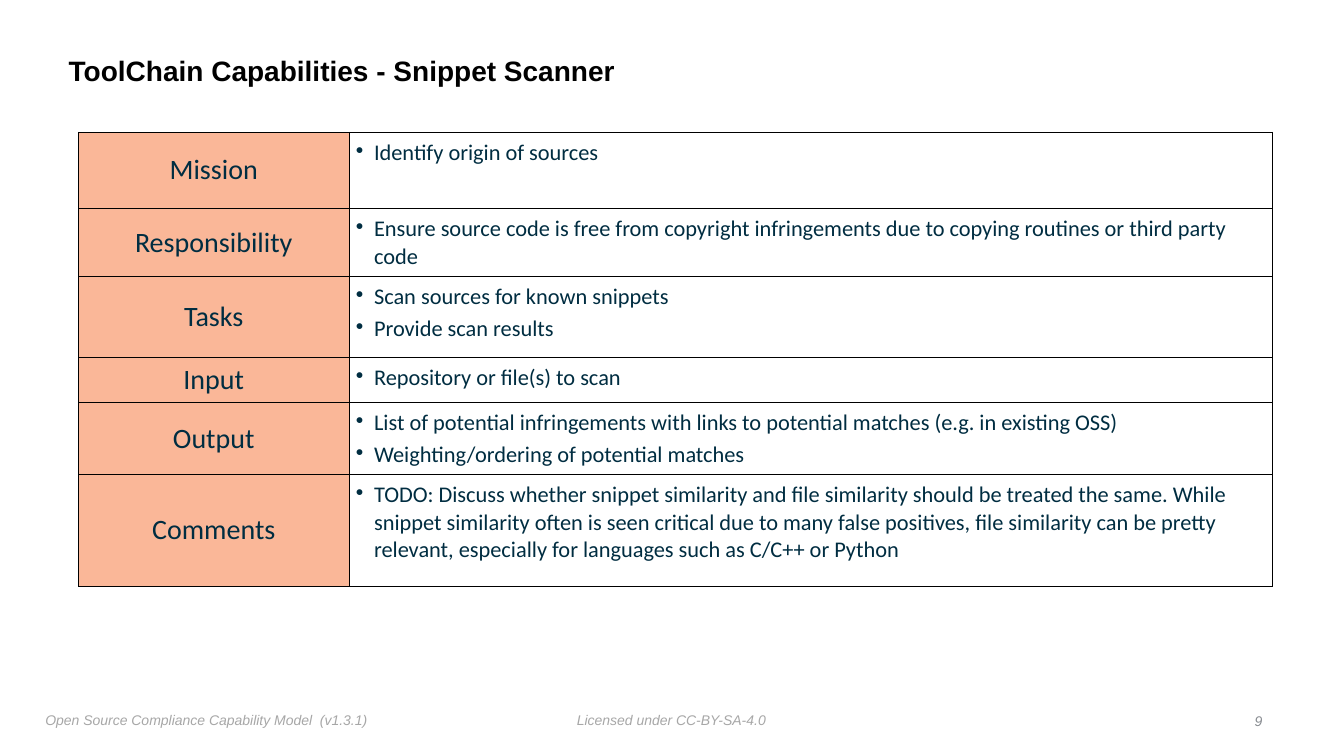
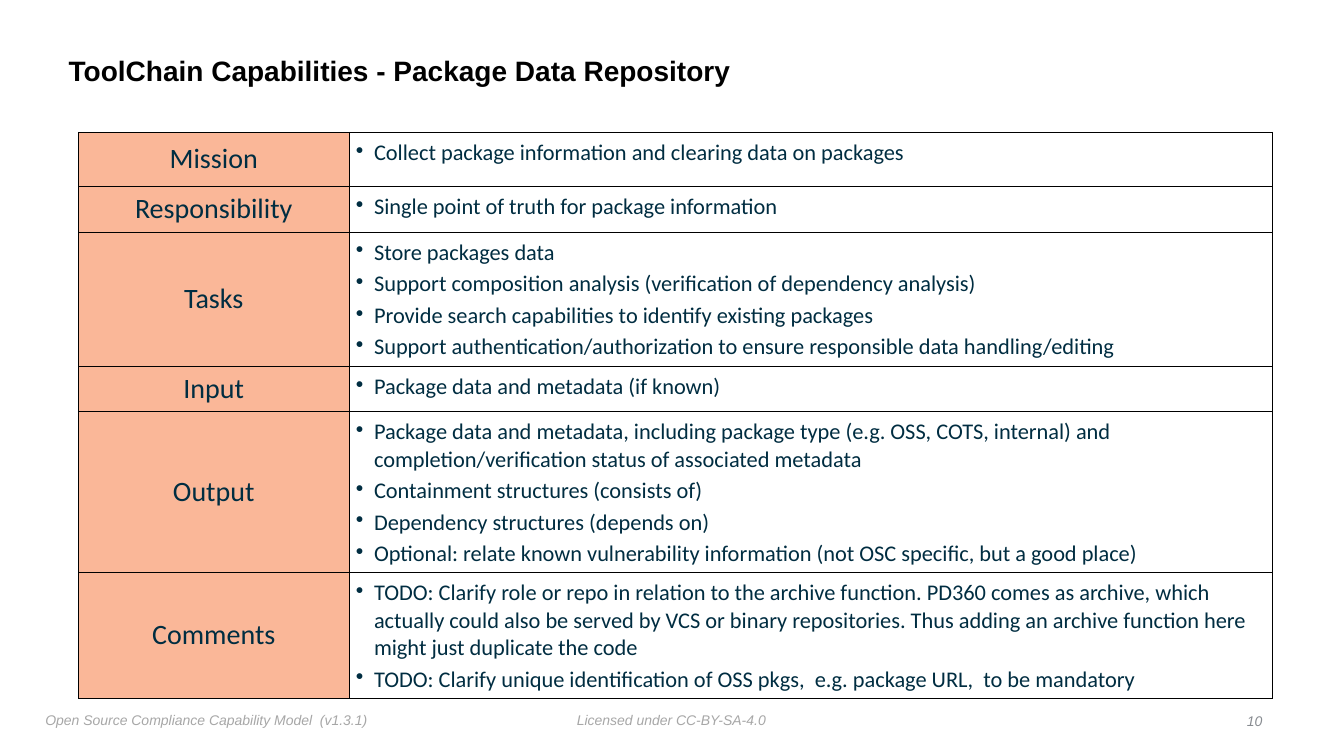
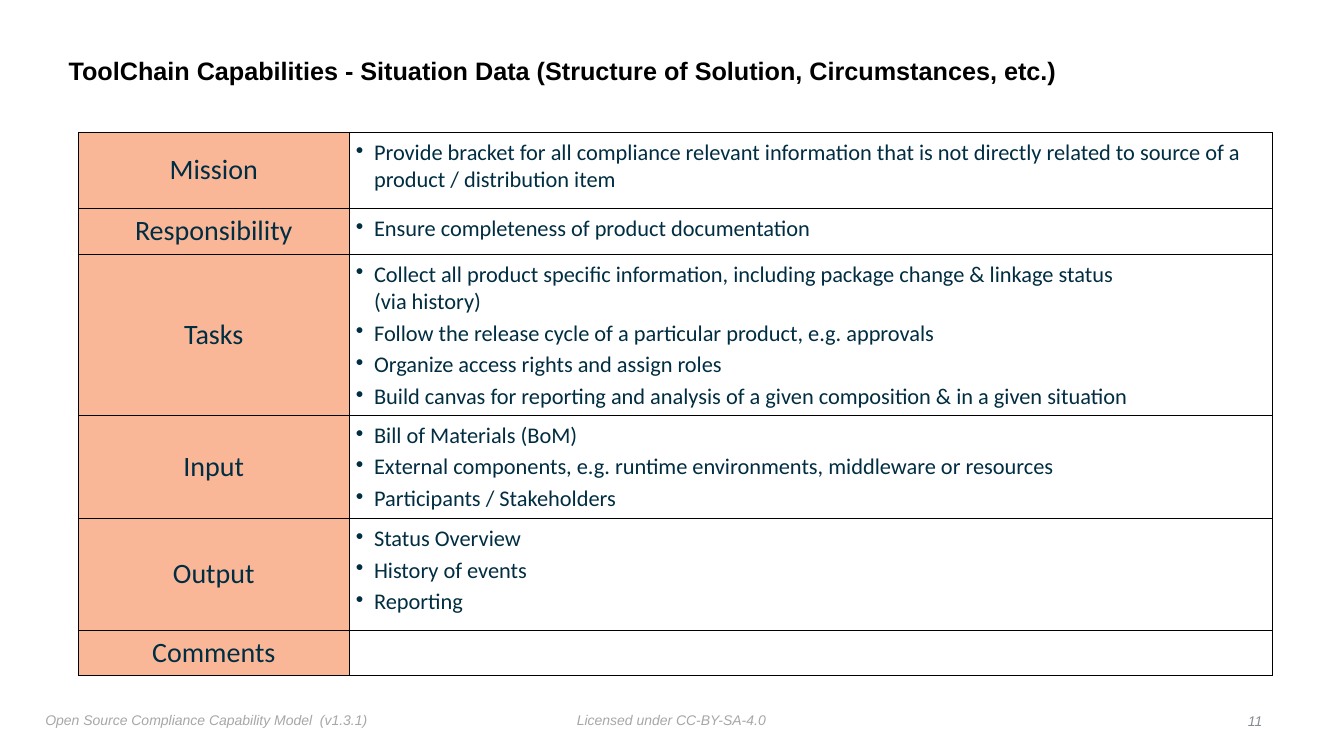
from copy import deepcopy
from dataclasses import dataclass

from lxml.etree import SubElement
from pptx import Presentation
from pptx.dml.color import RGBColor
from pptx.enum.text import MSO_ANCHOR as Anchor, MSO_AUTO_SIZE as AutoSize, PP_ALIGN as Align
from pptx.oxml import parse_xml
from pptx.oxml.ns import nsdecls, qn
from pptx.util import Emu, Inches, Pt

# Shared look
INK = RGBColor(0x00, 0x2D, 0x41)
BLACK = RGBColor(0x00, 0x00, 0x00)
PEACH = RGBColor(0xFA, 0xB7, 0x98)
FOOTER_GREY = RGBColor(0xA7, 0xA7, 0xA7)
NUMBER_GREY = RGBColor(0x88, 0x8C, 0x91)
HEADING_FONT, TABLE_FONT = "Arial", "Calibri"
WIDTH, HEIGHT = Inches(13.33), Inches(7.5)
BOX_INSET, CELL_INSET = Inches(0.05), Inches(0.07)
BULLET_INDENT = Inches(0.18)
FIRST_PAGE = 9
LABELS = ("Mission", "Responsibility", "Tasks", "Input", "Output", "Comments")


@dataclass(frozen=True)
class Area:
    """A rectangle in percent of the slide's width and height."""
    left: float
    top: float
    width: float
    height: float

    def lengths(self) -> tuple[Emu, Emu, Emu, Emu]:
        return across(self.left), down(self.top), across(self.width), down(self.height)


@dataclass(frozen=True)
class Footer:
    text: str
    area: Area
    color: RGBColor = FOOTER_GREY
    align: Align = Align.LEFT
    anchor: Anchor = Anchor.TOP


@dataclass(frozen=True)
class Row:
    """Least height in percent of the slide's height, and the bullet texts."""
    height: float
    bullets: tuple[str, ...] = ()


@dataclass(frozen=True)
class Capability:
    name: str
    rows: tuple[Row, ...]
    title_size: int = 20


TITLE_AREA = Area(4.73, 5.2, 80.65, 8.67)
NUMBER_AREA = Area(92.35, 93.73, 1.95, 3.33)
TABLE_LEFT, TABLE_TOP = 5.85, 17.47
COLUMNS = (20.11, 68.72)
FOOTERS = (
    Footer("Licensed under CC-BY-SA-4.0", Area(42.54, 93.47, 14.93, 3.33)),
    Footer("Open Source Compliance Capability Model  (v1.3.1)", Area(3, 93.47, 25.21, 3.6)),
)

CAPABILITIES = (
    Capability("Snippet Scanner", (
        Row(10.13, ("Identify origin of sources",)),
        Row(6, ("Ensure source code is free from copyright infringements due to copying "
                "routines or third party code",)),
        Row(10.67, ("Scan sources for known snippets", "Provide scan results")),
        Row(6, ("Repository or file(s) to scan",)),
        Row(8, ("List of potential infringements with links to potential matches "
                "(e.g. in existing OSS)",
                "Weighting/ordering of potential matches")),
        Row(14.8, ("TODO: Discuss whether snippet similarity and file similarity should be "
                   "treated the same. While snippet similarity often is seen critical due to "
                   "many false positives, file similarity can be pretty relevant, especially "
                   "for languages such as C/C++ or Python",)),
    )),
    Capability("Package Data Repository", (
        Row(7.2, ("Collect package information and clearing data on packages",)),
        Row(6, ("Single point of truth for package information",)),
        Row(6, ("Store packages data",
                "Support composition analysis (verification of dependency analysis)",
                "Provide search capabilities to identify existing packages",
                "Support authentication/authorization to ensure responsible data "
                "handling/editing")),
        Row(6, ("Package data and metadata (if known)",)),
        Row(14.8, ("Package data and metadata, including package type (e.g. OSS, COTS, "
                   "internal) and completion/verification status of associated metadata",
                   "Containment structures (consists of)",
                   "Dependency structures (depends on)",
                   "Optional: relate known vulnerability information (not OSC specific, "
                   "but a good place)")),
        Row(14.8, ("TODO: Clarify role or repo in relation to the archive function. PD360 "
                   "comes as archive, which actually could also be served by VCS or binary "
                   "repositories. Thus adding an archive function here might just duplicate "
                   "the code",
                   "TODO: Clarify unique identification of OSS pkgs,  e.g. package URL,  "
                   "to be mandatory")),
    )),
    Capability("Situation Data (Structure of Solution, Circumstances, etc.)", (
        Row(10.13, ("Provide bracket for all compliance relevant information that is not "
                    "directly related to source of a product / distribution item",)),
        Row(6, ("Ensure completeness of product documentation",)),
        Row(6, ("Collect all product specific information, including package change & "
                "linkage status\n(via history)",
                "Follow the release cycle of a particular product, e.g. approvals",
                "Organize access rights and assign roles",
                "Build canvas for reporting and analysis of a given composition & in a "
                "given situation")),
        Row(6, ("Bill of Materials (BoM)",
                "External components, e.g. runtime environments, middleware or resources",
                "Participants / Stakeholders")),
        Row(14.8, ("Status Overview", "History of events", "Reporting")),
        Row(6),
    ), title_size=18),
)


def across(percent: float) -> Emu:
    return Emu(round(WIDTH * percent / 100))


def down(percent: float) -> Emu:
    return Emu(round(HEIGHT * percent / 100))


def write(para, text: str, *, size: int, font: str = TABLE_FONT, color: RGBColor = INK,
          bold: bool = False, italic: bool = False, align: Align = Align.LEFT,
          bullet: bool = False) -> None:
    """Fill a paragraph with text in one format."""
    para.text = text
    para.alignment = align
    for span in para.runs:
        span.font.size, span.font.name = Pt(size), font
        span.font.bold, span.font.italic = bold, italic
        span.font.color.rgb = color
    # Line breaks take the format of the text around them
    for line_break in para._p.findall(qn("a:br")):
        line_break.insert(0, deepcopy(para.runs[0]._r.rPr))
    if bullet:
        para.space_before = Pt(3)
        properties = para._p.get_or_add_pPr()
        properties.set("marL", str(BULLET_INDENT))
        properties.set("indent", str(-BULLET_INDENT))
        SubElement(properties, qn("a:buChar"), char="•")


def set_insets(holder, inset: int) -> None:
    holder.margin_left = holder.margin_right = inset
    holder.margin_top = holder.margin_bottom = inset


def add_title(page, text: str, size: int) -> None:
    title = page.shapes.title
    title.left, title.top, title.width, title.height = TITLE_AREA.lengths()
    frame = title.text_frame
    set_insets(frame, BOX_INSET)
    frame.word_wrap, frame.auto_size = True, AutoSize.NONE
    frame.vertical_anchor = Anchor.MIDDLE
    para = frame.paragraphs[0]
    para.line_spacing = 0.9
    write(para, text, size=size, font=HEADING_FONT, color=BLACK, bold=True)


def add_footer(page, footer: Footer) -> None:
    frame = page.shapes.add_textbox(*footer.area.lengths()).text_frame
    set_insets(frame, BOX_INSET)
    frame.word_wrap, frame.auto_size = False, AutoSize.SHAPE_TO_FIT_TEXT
    frame.vertical_anchor = footer.anchor
    write(frame.paragraphs[0], footer.text, size=10, font=HEADING_FONT,
          color=footer.color, italic=True, align=footer.align)


def add_borders(cell) -> None:
    properties = cell._tc.get_or_add_tcPr()
    for index, side in enumerate("LRTB"):
        properties.insert(index, parse_xml(
            f'<a:ln{side} {nsdecls("a")} w="{Pt(0.5)}"><a:solidFill>'
            f'<a:srgbClr val="{BLACK}"/></a:solidFill></a:ln{side}>'))


def add_capability_table(page, rows: tuple[Row, ...]) -> None:
    area = Area(TABLE_LEFT, TABLE_TOP, sum(COLUMNS), sum(row.height for row in rows))
    table = page.shapes.add_table(len(rows), len(COLUMNS), *area.lengths()).table
    table.first_row = table.horz_banding = False
    for column, width in zip(table.columns, COLUMNS):
        column.width = across(width)
    for index, (label, row) in enumerate(zip(LABELS, rows)):
        table.rows[index].height = down(row.height)
        label_cell, detail_cell = table.rows[index].cells

        # Label column
        set_insets(label_cell, 0)
        label_cell.vertical_anchor = Anchor.MIDDLE
        label_cell.fill.solid()
        label_cell.fill.fore_color.rgb = PEACH
        write(label_cell.text_frame.paragraphs[0], label, size=20, align=Align.CENTER)

        # Detail column
        set_insets(detail_cell, CELL_INSET)
        detail_cell.fill.background()
        frame = detail_cell.text_frame
        for number, bullet in enumerate(row.bullets):
            para = frame.add_paragraph() if number else frame.paragraphs[0]
            write(para, bullet, size=16, bullet=True)

        for cell in (label_cell, detail_cell):
            add_borders(cell)


def add_capability_page(deck, capability: Capability, number: int) -> None:
    page = deck.slides.add_slide(deck.slide_layouts.get_by_name("Title Only"))
    for footer in FOOTERS:
        add_footer(page, footer)
    add_title(page, f"ToolChain Capabilities - {capability.name}", capability.title_size)
    add_capability_table(page, capability.rows)
    add_footer(page, Footer(str(number), NUMBER_AREA, NUMBER_GREY, Align.RIGHT, Anchor.MIDDLE))


def main() -> None:
    deck = Presentation()
    deck.slide_width, deck.slide_height = WIDTH, HEIGHT
    for number, capability in enumerate(CAPABILITIES, FIRST_PAGE):
        add_capability_page(deck, capability, number)
    deck.save("out.pptx")


main()
